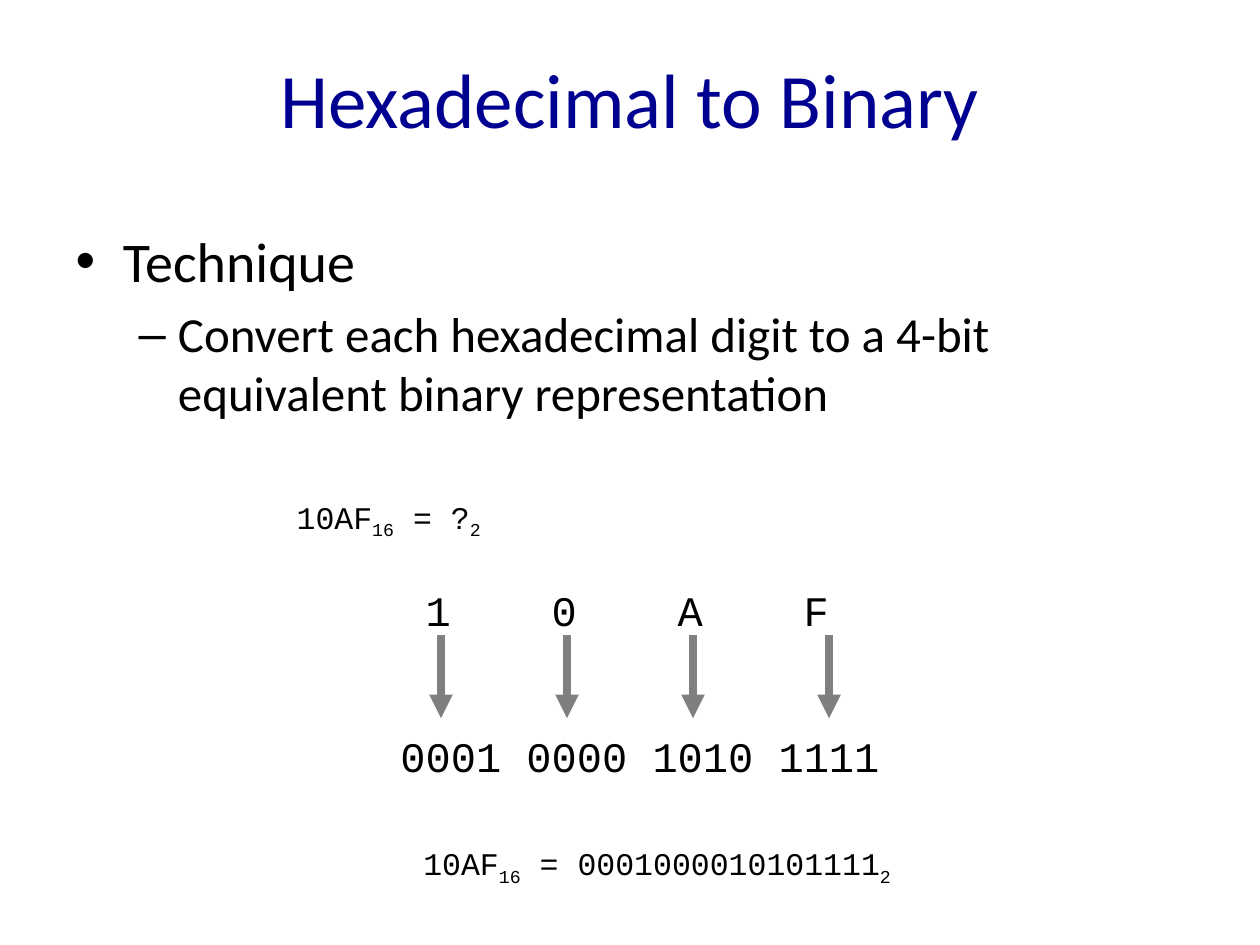
from pptx import Presentation
from pptx.dml.color import RGBColor
from pptx.enum.shapes import MSO_CONNECTOR as Connector
from pptx.enum.text import MSO_ANCHOR as Anchor, PP_ALIGN as Align
from pptx.oxml.ns import qn
from pptx.util import Inches, Pt
from lxml.etree import SubElement

COLORS = {"title": "000090", "text": "000000", "arrow": "7F7F7F"}
SANS, MONO = "Calibri", "Courier New"


def add_text(para, text, size, face=MONO, color="text", subscript=False):
    span = para.add_run()
    span.text = text
    span.font.size = Pt(size)
    span.font.name = face
    span.font.color.rgb = RGBColor.from_string(COLORS[color])
    if subscript:
        span.font._element.set("baseline", "-25000")


class SlideBuilder:
    def __init__(self, deck):
        self.page = deck.slides.add_slide(deck.slide_layouts[1])

    def place(self, shape, left, top, width, height):
        shape.left, shape.top = Inches(left), Inches(top)
        shape.width, shape.height = Inches(width), Inches(height)
        return shape.text_frame

    def title(self, text):
        frame = self.place(self.page.shapes.title, 0, 0, 10, 1.55)
        frame.vertical_anchor = Anchor.MIDDLE
        para = frame.paragraphs[0]
        para.alignment = Align.CENTER
        add_text(para, text, 44, SANS, "title")

    def bullets(self, items):
        frame = self.place(self.page.placeholders[1], 0.5, 1.75, 9, 4.95)
        for index, (level, size, text) in enumerate(items):
            para = frame.add_paragraph() if index else frame.paragraphs[0]
            para.level = level
            add_text(para, text, size, SANS)

    def text_box(self, left, top, width, height):
        box = self.page.shapes.add_textbox(
            Inches(left), Inches(top), Inches(width), Inches(height))
        box.text_frame.word_wrap = True
        return box.text_frame

    def equation(self, left, top, width, value):
        para = self.text_box(left, top, width, 0.4).paragraphs[0]
        para.alignment = Align.CENTER
        for text, low in (("10AF", False), ("16", True),
                          (f" = {value}", False), ("2", True)):
            add_text(para, text, 18, subscript=low)

    def digit_rows(self, digits, groups):
        frame = self.text_box(3.08, 4.59, 4.17, 1.61)
        para = frame.paragraphs[0]
        stops = SubElement(para._p.get_or_add_pPr(), qn("a:tabLst"))
        for column in range(len(digits)):
            SubElement(stops, qn("a:tab"), pos=str(Inches(0.3 + column)), algn="ctr")
        add_text(para, "".join(f"\t{digit}" for digit in digits), 24)
        para = frame.add_paragraph()
        para.space_before = Pt(54.4)
        add_text(para, " ".join(groups), 24)

    def down_arrow(self, x, top, bottom):
        arrow = self.page.shapes.add_connector(
            Connector.STRAIGHT, Inches(x), Inches(top), Inches(x), Inches(bottom))
        arrow.line.color.rgb = RGBColor.from_string(COLORS["arrow"])
        arrow.line.width = Pt(4.5)
        SubElement(arrow.line._get_or_add_ln(), qn("a:tailEnd"), type="triangle")
        SubElement(arrow._element.spPr, qn("a:effectLst"))


def main():
    deck = Presentation()
    deck.slide_width, deck.slide_height = Inches(10), Inches(7.5)
    slide = SlideBuilder(deck)
    slide.title("Hexadecimal to Binary")
    slide.bullets([
        (0, 32, "Technique"),
        (1, 28, "Convert each hexadecimal digit to a 4-bit "
                "equivalent binary representation"),
    ])
    digits = "10AF"
    groups = [f"{int(digit, 16):04b}" for digit in digits]
    slide.equation(1.96, 3.9, 2.25, "?")
    slide.digit_rows(digits, groups)
    for x in (3.5, 4.5, 5.5, 6.58):
        slide.down_arrow(x, 5.04, 5.7)
    slide.equation(2.59, 6.65, 5.25, "".join(groups))
    deck.save("out.pptx")


if __name__ == "__main__":
    main()
